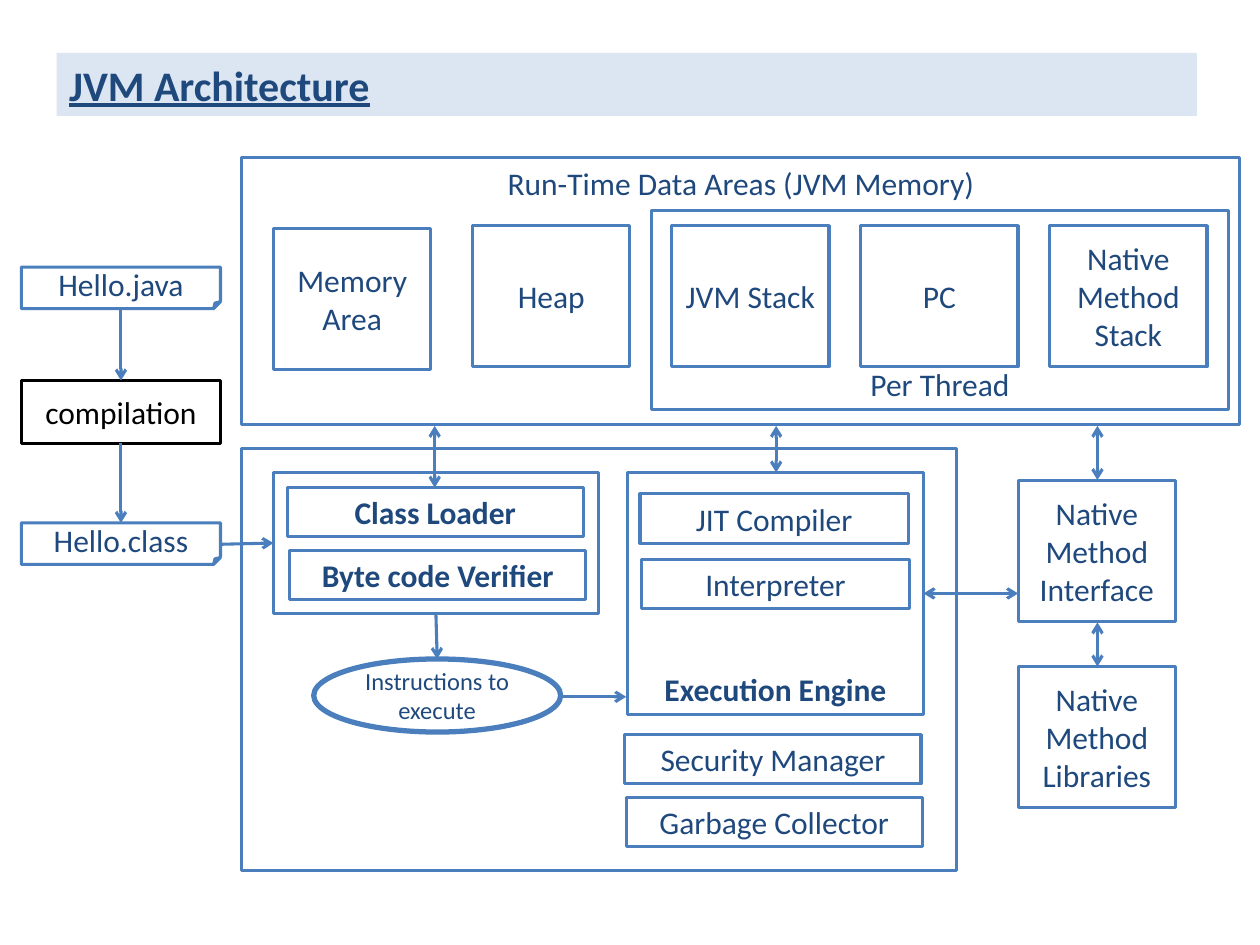
from lxml.etree import SubElement
from pptx import Presentation
from pptx.dml.color import RGBColor
from pptx.enum.shapes import MSO_CONNECTOR, MSO_SHAPE
from pptx.enum.text import MSO_ANCHOR, PP_ALIGN
from pptx.oxml.ns import qn
from pptx.util import Inches, Pt

BLUE, NAVY, BLACK, PALE = "4B7EBC", "1F497D", "000000", "DCE6F2"
TOP, MIDDLE, BOTTOM = MSO_ANCHOR.TOP, MSO_ANCHOR.MIDDLE, MSO_ANCHOR.BOTTOM
FOLDED = MSO_SHAPE.FOLDED_CORNER

# Equal-sized blocks: (width, height), then (text, left, top)
UNIT = (1.25, 1.12)
UNITS = [("Memory Area", 2.17, 1.81), ("Heap", 3.75, 1.79)]
UNITS += [(text, 5.33 + 1.5 * i, 1.79)
          for i, text in enumerate(["JVM Stack", "PC", "Native Method Stack"])]
UNITS += [("Native Method Interface", 8.08, 3.81),
          ("Native Method Libraries", 8.08, 5.29)]
BAR = (2.35, 0.39)
LOADER_BARS = [("Class Loader", 2.28, 3.87), ("Byte code Verifier", 2.3, 4.37)]
MANAGER_BARS = [("Security Manager", 4.96, 5.83), ("Garbage Collector", 4.97, 6.33)]
ENGINE_BAR = (2.13, 0.39)
ENGINE_BARS = [("JIT Compiler", 5.08, 3.92), ("Interpreter", 5.09, 4.44)]
SOURCE_FILE = (1.58, 0.33)
SOURCE_FILES = [("Hello.java", 0.17, 2.12), ("Hello.class", 0.17, 4.15)]

# Enclosing frames: text, (left, top, width, height), anchor, bold
FRAMES = [
    ("Run-Time Data Areas (JVM Memory)", (1.92, 1.25, 7.92, 2.12), TOP, False),
    ("Per Thread", (5.17, 1.67, 4.58, 1.58), BOTTOM, False),
    ("", (1.92, 3.56, 5.67, 3.35), MIDDLE, False),
    ("", (2.17, 3.75, 2.58, 1.12), MIDDLE, False),
    ("Execution Engine", (4.98, 3.75, 2.35, 1.92), BOTTOM, True),
]
ONE_WAY = [
    (0.96, 2.46, 0.96, 3.02), (0.96, 3.52, 0.96, 4.15), (1.75, 4.32, 2.17, 4.31),
    (3.46, 4.88, 3.47, 5.23), (4.45, 5.53, 4.97, 5.53),
]
TWO_WAY = [
    (3.45, 3.38, 3.45, 3.87), (6.16, 3.38, 6.16, 3.75), (7.33, 4.71, 8.08, 4.71),
    (8.71, 3.81, 8.71, 3.38), (8.71, 5.29, 8.71, 4.94),
]


def color(value):
    """Turn a hex string into a colour."""
    return RGBColor.from_string(value)


def add_text(shape, text, size=18, ink=NAVY, bold=False, anchor=MIDDLE,
             align=PP_ALIGN.CENTER):
    """Write one paragraph into a shape and return its run."""
    frame = shape.text_frame
    frame.word_wrap = True
    frame.vertical_anchor = anchor
    para = frame.paragraphs[0]
    para.alignment = align
    span = para.add_run()
    span.text = text
    span.font.name = "Calibri"
    span.font.size = Pt(size)
    span.font.bold = bold
    span.font.color.rgb = color(ink)
    return span


def add_box(page, text, place, kind=MSO_SHAPE.RECTANGLE, line=BLUE, weight=1.75,
            **style):
    """Draw an unfilled outlined shape, with text if there is any."""
    box = page.shapes.add_shape(kind, *map(Inches, place))
    box.shadow.inherit = False
    box.fill.background()
    box.line.color.rgb = color(line)
    box.line.width = Pt(weight)
    if text:
        add_text(box, text, **style)


def add_arrow(page, ends, both):
    """Draw a straight connector with open arrowheads."""
    arrow = page.shapes.add_connector(MSO_CONNECTOR.STRAIGHT, *map(Inches, ends))
    arrow.line.color.rgb = color(BLUE)
    arrow.line.width = Pt(1.75)
    outline = arrow.line._get_or_add_ln()
    for tag in ["a:headEnd", "a:tailEnd"] if both else ["a:tailEnd"]:
        SubElement(outline, qn(tag), type="arrow")
    SubElement(arrow._element.spPr, qn("a:effectLst"))


def add_title(page, text):
    """Draw the title band."""
    title = page.shapes.add_textbox(*map(Inches, (0.45, 0.42, 9.05, 0.5)))
    title.fill.solid()
    title.fill.fore_color.rgb = color(PALE)
    span = add_text(title, text, 24, bold=True, anchor=TOP, align=PP_ALIGN.LEFT)
    span.font.underline = True


deck = Presentation()
deck.slide_width, deck.slide_height = Inches(10), Inches(7.5)
page = deck.slides.add_slide(deck.slide_layouts[6])

add_title(page, "JVM Architecture")
for text, place, anchor, bold in FRAMES:
    add_box(page, text, place, anchor=anchor, bold=bold)
for blocks, size, style in [
    (UNITS, UNIT, {}),
    (LOADER_BARS, BAR, {"bold": True}),
    (MANAGER_BARS, BAR, {}),
    (ENGINE_BARS, ENGINE_BAR, {}),
    (SOURCE_FILES, SOURCE_FILE, {"kind": FOLDED}),
]:
    for text, left, top in blocks:
        add_box(page, text, (left, top, *size), **style)
add_box(page, "compilation", (0.17, 3.02, 1.58, 0.5), line=BLACK, ink=BLACK)
add_box(page, "Instructions to execute", (2.49, 5.23, 1.96, 0.58),
        kind=MSO_SHAPE.OVAL, weight=3, size=14)
for arrows, both in [(ONE_WAY, False), (TWO_WAY, True)]:
    for ends in arrows:
        add_arrow(page, ends, both)

deck.save("out.pptx")
